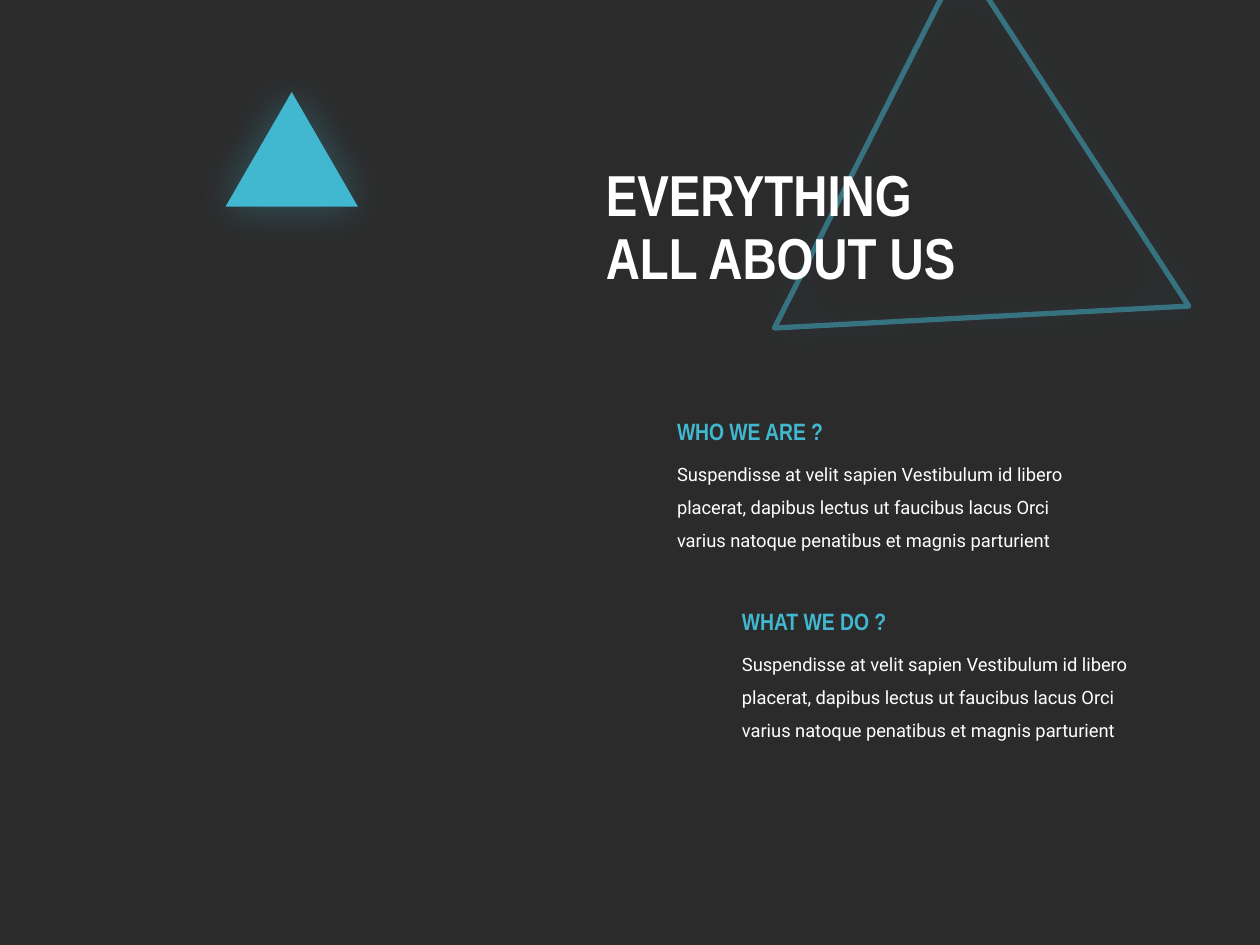
from lxml.etree import SubElement
from pptx import Presentation
from pptx.dml.color import RGBColor
from pptx.enum.shapes import MSO_SHAPE
from pptx.enum.text import MSO_ANCHOR, MSO_AUTO_SIZE
from pptx.oxml.ns import qn
from pptx.util import Inches, Pt

COLORS = {"background": "2B2B2B", "accent": "41B7D0", "text": "FFFFFF"}
HEADING_FONT, BODY_FONT = "Arial Narrow", "Roboto"
SLIDE_WIDTH, SLIDE_HEIGHT = Inches(10), Inches(7.5)
COLUMNS, ROWS = 100, 75
BODY = (
    "Suspendisse at velit sapien Vestibulum id libero placerat, "
    "dapibus lectus ut faucibus lacus Orci varius natoque "
    "penatibus et magnis parturient"
)
SECTIONS = [
    ("WHO WE ARE ?", BODY, (52.75, 32.6, 33.8, 11.5)),
    ("WHAT WE DO ?", BODY, (57.9, 47.7, 33.8, 11.5)),
]


def color(name):
    """Return a named colour."""
    return RGBColor.from_string(COLORS[name])


def on_slide(box):
    """Turn left, top, width and height in grid cells into slide lengths."""
    left, top, width, height = box
    column, row = SLIDE_WIDTH / COLUMNS, SLIDE_HEIGHT / ROWS
    return [round(n) for n in (left * column, top * row, width * column, height * row)]


def add_alpha(color_element, percent):
    """Set the opacity of a colour element."""
    SubElement(color_element, qn("a:alpha"), val=str(percent * 1000))


def add_glow(shape):
    """Surround a shape with a soft accent shadow."""
    shape.shadow.inherit = False
    effects = shape._element.spPr.find(qn("a:effectLst"))
    shadow = SubElement(
        effects, qn("a:outerShdw"), blurRad=str(Pt(25)), dist="0", dir="0",
        algn="ctr", rotWithShape="0",
    )
    add_alpha(SubElement(shadow, qn("a:srgbClr"), val=COLORS["accent"]), 35)


def add_triangle(slide, box, rotation=0, outlined=False):
    """Draw a glowing triangle, either filled or outlined."""
    triangle = slide.shapes.add_shape(MSO_SHAPE.ISOSCELES_TRIANGLE, *on_slide(box))
    triangle.rotation = rotation
    if outlined:
        triangle.fill.background()
        triangle.line.width = Pt(3)
        triangle.line.color.rgb = color("accent")
        add_alpha(triangle.line._ln.find(".//" + qn("a:srgbClr")), 50)
    else:
        triangle.fill.solid()
        triangle.fill.fore_color.rgb = color("accent")
        triangle.line.fill.background()
    add_glow(triangle)


def add_text(slide, box, lines, font, size, shade, bold=False, spacing=1.0):
    """Write lines of one paragraph in a wrapping box and return its frame."""
    frame = slide.shapes.add_textbox(*on_slide(box)).text_frame
    frame.word_wrap = True
    paragraph = frame.paragraphs[0]
    paragraph.line_spacing = spacing
    for index, line in enumerate(lines):
        if index:
            paragraph.add_line_break()
        run = paragraph.add_run()
        run.text = line
        run.font.name = font
        run.font.size = Pt(size)
        run.font.bold = bold
        run.font.color.rgb = color(shade)
    return frame


def add_title(slide, box):
    """Write the two-line title, centred vertically in its box."""
    title = add_text(slide, box, ["EVERYTHING", "ALL ABOUT US"],
                     HEADING_FONT, 33, "text", bold=True, spacing=0.9)
    title.vertical_anchor = MSO_ANCHOR.MIDDLE


def add_section(slide, box, heading, body):
    """Stack a heading and its body text inside a box."""
    left, top, width, height = box
    heading_height, body_offset = 3.3, 2.8
    body_box = (left, top + body_offset, width, height - body_offset)
    heading_box = (left, top, 18.4, heading_height)
    for frame in (
        add_text(slide, body_box, [body], BODY_FONT, 10.5, "text", spacing=1.5),
        add_text(slide, heading_box, [heading], HEADING_FONT, 13.5, "accent", bold=True),
    ):
        frame.auto_size = MSO_AUTO_SIZE.SHAPE_TO_FIT_TEXT


def main():
    """Build and save the slide."""
    deck = Presentation()
    deck.slide_width, deck.slide_height = SLIDE_WIDTH, SLIDE_HEIGHT
    slide = deck.slides.add_slide(deck.slide_layouts[6])
    slide.background.fill.solid()
    slide.background.fill.fore_color.rgb = color("background")
    add_triangle(slide, (56.9, 4, 33, 28.5), rotation=236.9, outlined=True)
    add_title(slide, (47.1, 10.3, 42.2, 15.8))
    add_triangle(slide, (17.9, 7.3, 10.5, 9.1))
    for heading, body, box in SECTIONS:
        add_section(slide, box, heading, body)
    deck.save("out.pptx")


if __name__ == "__main__":
    main()
